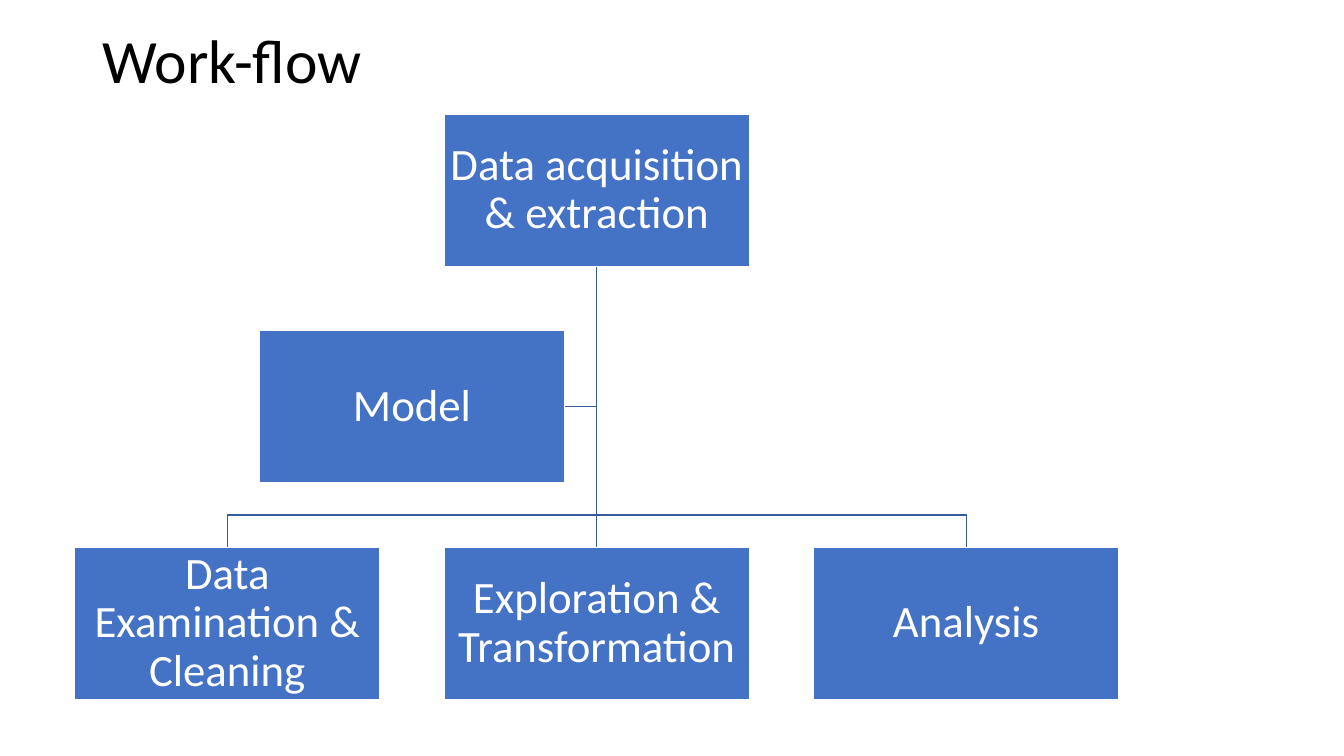
from dataclasses import dataclass

from lxml import etree
from pptx import Presentation
from pptx.dml.color import RGBColor
from pptx.enum.shapes import MSO_CONNECTOR, MSO_SHAPE
from pptx.enum.text import MSO_ANCHOR, MSO_AUTO_SIZE, PP_ALIGN
from pptx.oxml.ns import qn
from pptx.util import Cm, Pt

RECT = MSO_SHAPE.RECTANGLE
STRAIGHT = MSO_CONNECTOR.STRAIGHT
MIDDLE = MSO_ANCHOR.MIDDLE
NO_FIT = MSO_AUTO_SIZE.NONE
LEFT, CENTER = PP_ALIGN.LEFT, PP_ALIGN.CENTER


@dataclass(frozen=True)
class Theme:
    """Colours, font and type sizes of the slide."""
    font: str = "Calibri"
    title: int = 44
    label: int = 32
    black: RGBColor = RGBColor(0, 0, 0)
    white: RGBColor = RGBColor(255, 255, 255)
    blue: RGBColor = RGBColor(0x44, 0x72, 0xC4)
    edge: RGBColor = RGBColor(0x36, 0x5B, 0x9D)


THEME = Theme()
BOX_W, BOX_H = 7.7, 3.84
ROOT_X, ROOT_Y = 15.04, 2.87
STEP_X, STEP_Y = 9.31, 5.46
MODEL_X = ROOT_X - STEP_X / 2
MODEL_Y = ROOT_Y + STEP_Y
LEAF_Y = MODEL_Y + STEP_Y
ROOT_END = ROOT_Y + BOX_H
BAR_Y = LEAF_Y - (STEP_Y - BOX_H) / 2
LEAVES = ("Data Examination & Cleaning", "Exploration & Transformation", "Analysis")


def write(frame, text, size, color, align):
    """Set and format one centred-height paragraph."""
    frame.text = text
    frame.word_wrap = True
    frame.auto_size = NO_FIT
    frame.vertical_anchor = MIDDLE
    para = frame.paragraphs[0]
    para.alignment = align
    para.line_spacing = 0.9
    font = para.runs[0].font
    font.name, font.size = THEME.font, Pt(size)
    font.color.rgb = color


def add_title(slide, text):
    """Place and fill the title."""
    title = slide.shapes.title
    title.left, title.top = Cm(2.33), Cm(0.38)
    title.width, title.height = Cm(29.21), Cm(2.46)
    write(title.text_frame, text, THEME.title, THEME.black, LEFT)


def add_box(slide, text, mid, top):
    """Add a labelled box centred on mid."""
    box = slide.shapes.add_shape(
        RECT, Cm(mid - BOX_W / 2), Cm(top), Cm(BOX_W), Cm(BOX_H))
    box.shadow.inherit = False
    box.fill.solid()
    box.fill.fore_color.rgb = THEME.blue
    box.line.color.rgb = THEME.white
    box.line.width = Pt(1)
    frame = box.text_frame
    frame.margin_left = frame.margin_right = Cm(0.05)
    frame.margin_top = frame.margin_bottom = Cm(0.05)
    write(frame, text, THEME.label, THEME.white, CENTER)


def style_line(line):
    """Give a link its colour and width."""
    line.color.rgb = THEME.edge
    line.width = Pt(1)


def add_bend(slide, *points):
    """Add an open bent link through the points."""
    first, *rest = [(Cm(x), Cm(y)) for x, y in points]
    path = slide.shapes.build_freeform(*first)
    path.add_line_segments(rest, close=False)
    link = path.convert_to_shape()
    link.shadow.inherit = False
    link.fill.background()
    style_line(link.line)


def add_stem(slide, x, top, end):
    """Add a straight upright link."""
    link = slide.shapes.add_connector(STRAIGHT, Cm(x), Cm(top), Cm(x), Cm(end))
    style_line(link.line)
    etree.SubElement(link._element.spPr, qn("a:effectLst"))


def main():
    """Build and save the work-flow slide."""
    deck = Presentation()
    deck.slide_width, deck.slide_height = Cm(33.87), Cm(19.05)
    slide = deck.slides.add_slide(deck.slide_layouts[5])
    add_title(slide, "Work-flow")

    root = (ROOT_X, ROOT_END)
    side = MODEL_Y + BOX_H / 2
    add_bend(slide, root, (ROOT_X, side), (MODEL_X + BOX_W / 2, side))
    for x in (ROOT_X + STEP_X, ROOT_X - STEP_X):
        add_bend(slide, root, (ROOT_X, BAR_Y), (x, BAR_Y), (x, LEAF_Y))
    add_stem(slide, ROOT_X, ROOT_END, LEAF_Y)

    add_box(slide, "Data acquisition & extraction", ROOT_X, ROOT_Y)
    for col, text in enumerate(LEAVES, -1):
        add_box(slide, text, ROOT_X + col * STEP_X, LEAF_Y)
    add_box(slide, "Model", MODEL_X, MODEL_Y)
    deck.save("out.pptx")


main()
